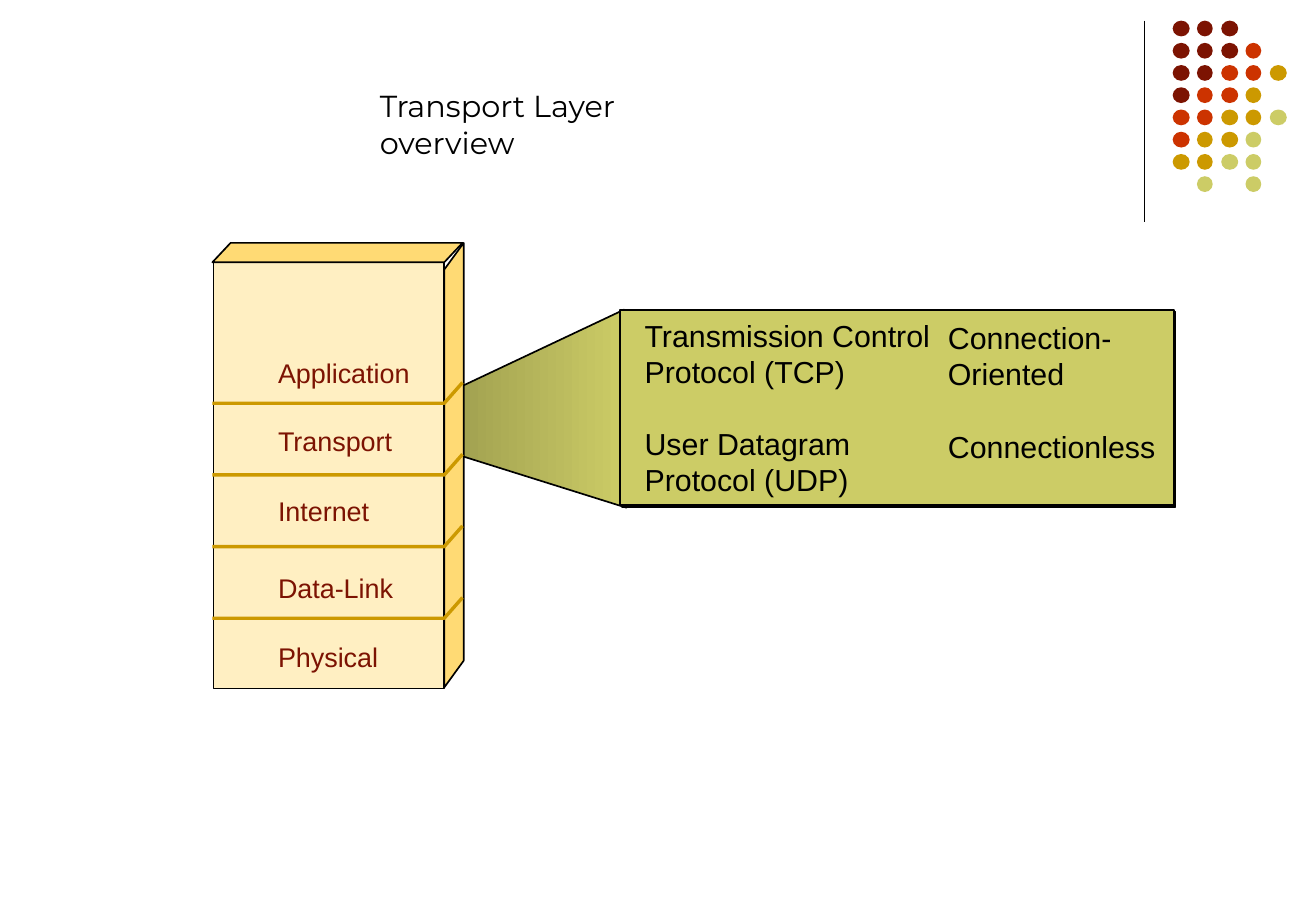
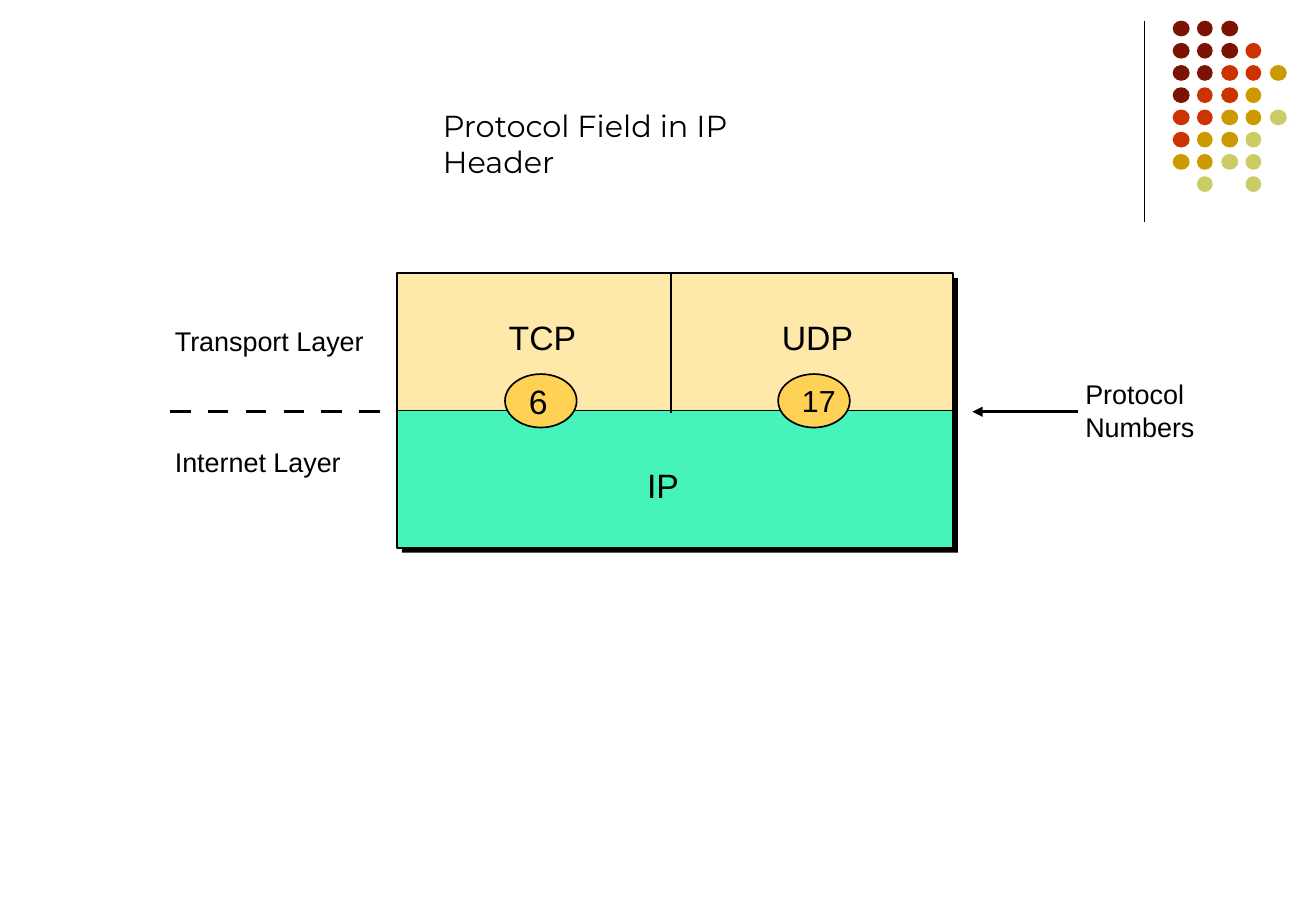
"""Build two slides on the transport layer and the protocol field."""
import dataclasses
import typing

import lxml.etree
import pptx
import pptx.dml.color
import pptx.enum.shapes
import pptx.enum.text
import pptx.oxml.ns
import pptx.util

Inches = pptx.util.Inches
Pt = pptx.util.Pt
Shapes = pptx.enum.shapes.MSO_SHAPE
Anchor = pptx.enum.text.MSO_ANCHOR

COLORS = {
    "black": "000000", "white": "FFFFFF", "maroon": "7C1302", "red": "CC3300",
    "gold": "CC9900", "olive": "CCCC66", "dark olive": "9A9A4D",
    "cream": "FFEFC2", "edge": "FFDA74", "sand": "FFE9AA",
    "mint": "45F3BB", "amber": "FFD255",
}
DOT_ROWS = ("MMM", "MMMR", "MMRRG", "MRRG", "RRGGO", "RGGO", "GGOO", " O O")
DOT_COLORS = {"M": "maroon", "R": "red", "G": "gold", "O": "olive"}


@dataclasses.dataclass(frozen=True)
class Box:
    """Place and size in inches."""
    left: float
    top: float
    width: float
    height: float

    def lengths(self) -> list[int]:
        """Return the four values as lengths."""
        return [Inches(value) for value in dataclasses.astuple(self)]


@dataclasses.dataclass(frozen=True)
class Layer:
    """A layer name and the middle of its label."""
    name: str
    middle: float


@dataclasses.dataclass(frozen=True)
class Protocol:
    """A transport protocol, its number and the places of both."""
    name: str
    number: str
    number_size: int
    name_left: float
    number_left: float


LAYERS = (
    Layer("Application", 3.06), Layer("Transport", 3.62), Layer("Internet", 4.2),
    Layer("Data-Link", 4.83), Layer("Physical", 5.4),
)
PROTOCOLS = (Protocol("TCP", "6", 20, 4.17, 4.16), Protocol("UDP", "17", 18, 6.42, 6.41))


def rgb(color: str) -> pptx.dml.color.RGBColor:
    """Look up a named colour."""
    return pptx.dml.color.RGBColor.from_string(COLORS[color])


def add_element(parent: typing.Any, tag: str, **attributes: str) -> typing.Any:
    """Append a drawing element with its attributes."""
    return lxml.etree.SubElement(parent, pptx.oxml.ns.qn(tag), attributes)


def paint(shape: typing.Any, fill: str | None, line: str | None = "black",
          width: float = 1, shadow: float = 0) -> None:
    """Set fill, outline and an optional hard shadow."""
    shape.shadow.inherit = False
    if fill:
        shape.fill.solid()
        shape.fill.fore_color.rgb = rgb(fill)
    else:
        shape.fill.background()
    if line:
        shape.line.color.rgb = rgb(line)
        shape.line.width = Pt(width)
    else:
        shape.line.fill.background()
    if shadow:
        effects = shape.element.spPr.find(pptx.oxml.ns.qn("a:effectLst"))
        outer = add_element(effects, "a:outerShdw", blurRad="0", dist=str(Pt(shadow)),
                            dir="2700000", algn="ctr", rotWithShape="0")
        add_element(outer, "a:srgbClr", val=COLORS["black"])


def add_preset(slide: typing.Any, kind: Shapes, box: Box, fill: str,
               line: str | None = "black", shadow: float = 0) -> typing.Any:
    """Draw a painted preset shape."""
    shape = slide.shapes.add_shape(kind, *box.lengths())
    paint(shape, fill, line, shadow=shadow)
    return shape


def add_outline(slide: typing.Any, points: list[tuple[float, float]], fill: str | None,
                line: str = "black", width: float = 1, close: bool = True) -> typing.Any:
    """Draw a freeform through points given in inches."""
    start, *others = [(Inches(x), Inches(y)) for x, y in points]
    builder = slide.shapes.build_freeform(*start)
    builder.add_line_segments(others, close=close)
    shape = builder.convert_to_shape()
    paint(shape, fill, line, width)
    return shape


def add_line(slide: typing.Any, start: tuple[float, float], end: tuple[float, float],
             width: float, arrow: bool = False) -> None:
    """Draw a straight black line, with an arrowhead at its end if asked."""
    connector = slide.shapes.add_connector(
        pptx.enum.shapes.MSO_CONNECTOR.STRAIGHT, *[Inches(value) for value in start + end])
    connector.line.color.rgb = rgb("black")
    connector.line.width = Pt(width)
    if arrow:
        add_element(connector.line._get_or_add_ln(), "a:tailEnd", type="triangle")
    add_element(connector.element.spPr, "a:effectLst")


def write(shape: typing.Any, *paragraphs: str, size: float = 18, color: str = "black",
          font: str = "Arial", insets: tuple[float, float, float, float] = (0.02, 0.03, 0.02, 0.03),
          anchor: Anchor = Anchor.TOP, spacing: float | None = None,
          gaps: dict[int, float] | None = None) -> None:
    """Fill a shape with left-aligned text; gaps maps paragraph index to space before."""
    frame = shape.text_frame
    frame.word_wrap = True
    frame.vertical_anchor = anchor
    frame.margin_left, frame.margin_top, frame.margin_right, frame.margin_bottom = map(Inches, insets)
    for index, text in enumerate(paragraphs):
        paragraph = frame.add_paragraph() if index else frame.paragraphs[0]
        paragraph.text = text
        paragraph.alignment = pptx.enum.text.PP_ALIGN.LEFT
        if spacing:
            paragraph.line_spacing = Pt(spacing)
        if gaps and index in gaps:
            paragraph.space_before = Pt(gaps[index])
        for run in paragraph.runs:
            run.font.size = Pt(size)
            run.font.name = font
            run.font.color.rgb = rgb(color)


def add_text(slide: typing.Any, box: Box, *paragraphs: str, **style: typing.Any) -> None:
    """Add a text box."""
    write(slide.shapes.add_textbox(*box.lengths()), *paragraphs, **style)


def add_base_slide(deck: typing.Any, title: str, title_box: Box) -> typing.Any:
    """Add a slide with the shared rule, dot pattern and title."""
    slide = deck.slides.add_slide(deck.slide_layouts[6])
    add_line(slide, (9.43, 0.17), (9.43, 1.83), 0.75)
    for row, dots in enumerate(DOT_ROWS):
        for column, dot in enumerate(dots):
            if dot in DOT_COLORS:
                box = Box(9.66 + 0.2 * column, 0.17 + 0.183 * row, 0.14 - 0.01 * (column % 2), 0.13)
                add_preset(slide, Shapes.OVAL, box, DOT_COLORS[dot], line=None)
    add_text(slide, title_box, title, font="Montserrat", insets=(0.1, 0.05, 0.1, 0.05))
    return slide


def build_overview(deck: typing.Any) -> None:
    """Draw the layer stack and the transport protocols."""
    slide = add_base_slide(deck, "Transport Layer overview", Box(3.03, 0.67, 3.18, 0.4))
    beam = add_outline(slide, [(3.55, 3.3), (5.14, 2.55), (5.16, 4.18), (3.82, 3.76)], "olive")
    beam.fill.gradient()
    beam.fill.gradient_angle = 0
    for stop, position, color in zip(beam.fill.gradient_stops, (0, 1), ("dark olive", "olive")):
        stop.position = position
        stop.color.rgb = rgb(color)

    panel = add_preset(slide, Shapes.RECTANGLE, Box(5.11, 2.55, 4.56, 1.61), "olive", shadow=1.4)
    write(panel, "Transmission Control", "Protocol (TCP)", "User Datagram", "Protocol (UDP)",
          insets=(0.2, 0.1, 0.2, 0.1), anchor=Anchor.MIDDLE, spacing=21.4, gaps={2: 21.4})

    left, front, back = 1.75, 3.66, 3.81
    add_outline(slide, [(3.82, 2), (front, 2.22), (front, 5.66), (3.82, 5.44)], "edge")
    add_preset(slide, Shapes.RECTANGLE, Box(1.76, 2.16, 1.9, 3.51), "cream")
    for layer in LAYERS:
        add_text(slide, Box(2.09, layer.middle - 0.17, 1.55, 0.35), layer.name, size=16,
                 color="maroon", insets=(0.2, 0, 0, 0), anchor=Anchor.MIDDLE)
    add_outline(slide, [(left, 2.16), (1.9, 2), (back, 2), (front, 2.16)], "edge")
    for boundary in range(len(LAYERS) - 1):
        level = 3.32 + 0.59 * boundary
        add_outline(slide, [(left, level), (front, level), (back, level - 0.17)], None,
                    line="gold", width=2, close=False)
    add_text(slide, Box(7.71, 2.58, 1.96, 1.6), "Connection-Oriented", "Connectionless",
             insets=(0.1, 0.05, 0.1, 0.05), spacing=21.5, gaps={1: 21.5})


def build_protocol_field(deck: typing.Any) -> None:
    """Draw the protocol numbers between the internet and transport layers."""
    slide = add_base_slide(deck, "Protocol Field in IP Header", Box(3.55, 0.83, 3.31, 0.4))
    left, top, width, half = 3.27, 2.25, 4.58, 1.13
    boundary = 3.39
    add_preset(slide, Shapes.RECTANGLE, Box(left, top, width, 2 * half), "white", line=None, shadow=4.2)
    add_preset(slide, Shapes.RECTANGLE, Box(left, top + half, width, half), "mint")
    add_preset(slide, Shapes.RECTANGLE, Box(left, top, width, half), "sand")
    for name, label_top in (("Transport Layer", 2.58), ("Internet Layer", 3.58)):
        add_text(slide, Box(1.42, label_top, 1.85, 0.58), name, size=16, spacing=23.6)
    add_text(slide, Box(5.31, 3.8, 0.58, 0.35), "IP", size=20, spacing=23.6)
    for dash in range(6):
        start = 1.4 + 0.312 * dash
        add_line(slide, (start, boundary), (start + 0.17, boundary), 2)
    add_line(slide, (8.88, boundary), (8.01, boundary), 2, arrow=True)
    add_line(slide, (5.53, 2.26), (5.53, 3.4), 1)
    for protocol in PROTOCOLS:
        add_text(slide, Box(protocol.name_left, 2.58, 0.75, 0.35), protocol.name, size=20, spacing=23.6)
        badge = add_preset(slide, Shapes.OVAL, Box(protocol.number_left, 3.08, 0.59, 0.44), "amber")
        write(badge, protocol.number, size=protocol.number_size, insets=(0.11, 0, 0, 0), anchor=Anchor.MIDDLE)
    add_text(slide, Box(8.92, 3.08, 1.75, 0.84), "Protocol\nNumbers", size=16)


def main() -> None:
    """Build and save the deck."""
    deck = pptx.Presentation()
    deck.slide_width, deck.slide_height = Inches(10.84), Inches(7.5)
    build_overview(deck)
    build_protocol_field(deck)
    deck.save("out.pptx")


if __name__ == "__main__":
    main()
